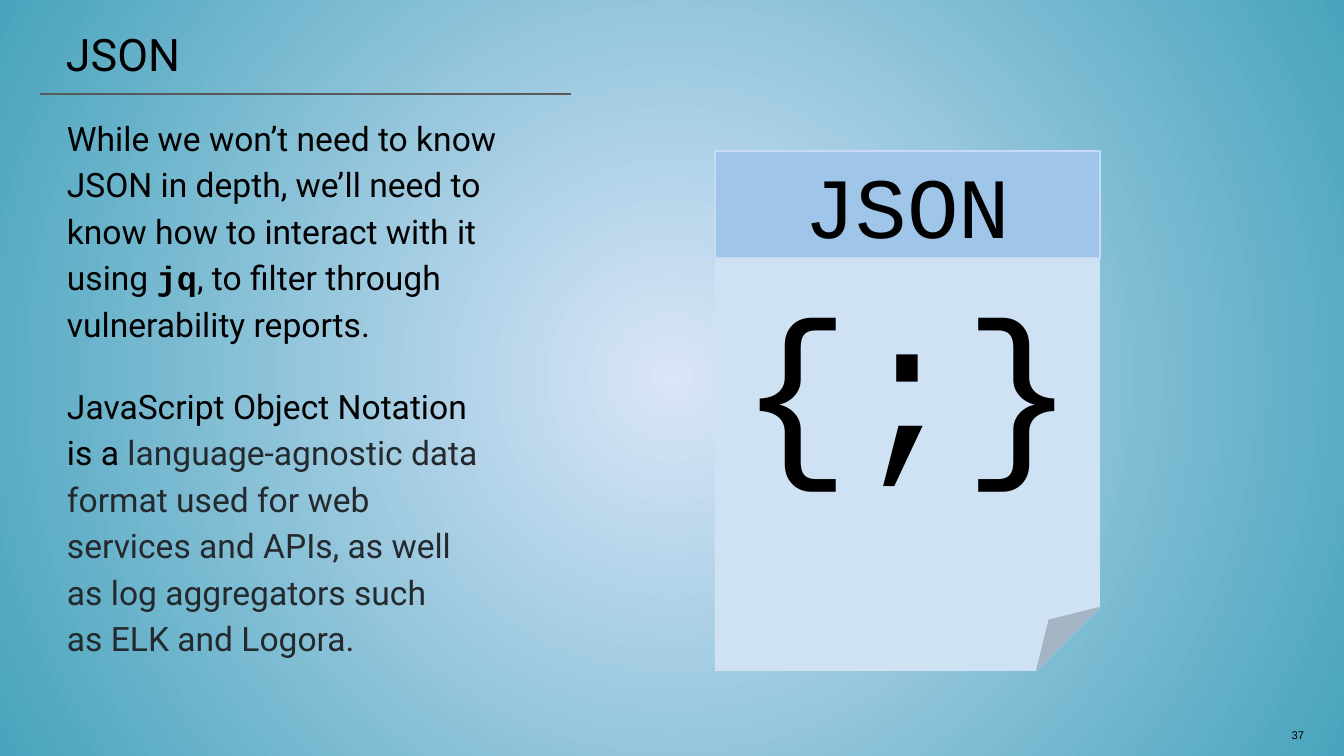
from lxml.etree import SubElement
from pptx import Presentation
from pptx.dml.color import RGBColor
from pptx.enum.shapes import MSO_CONNECTOR as LINE, MSO_SHAPE as SHAPE
from pptx.enum.text import MSO_ANCHOR as ANCHOR, PP_ALIGN as ALIGN
from pptx.oxml.ns import qn
from pptx.util import Pt

PX = 914400 / 134.4


def box(*lengths):
    return [round(n * PX) for n in lengths]


def color(hex_code):
    return RGBColor.from_string(hex_code)


deck = Presentation()
deck.slide_width, deck.slide_height = box(1344, 756)
slide = deck.slides.add_slide(deck.slide_layouts[6])
shapes = slide.shapes

backdrop = shapes.add_shape(SHAPE.RECTANGLE, *box(-1, 0, 1347, 756))
backdrop.shadow.inherit = False
backdrop.line.fill.background()
backdrop.fill.gradient()
for stop, shade in zip(backdrop.fill.gradient_stops, ["DAE5F9", "47A4BC"]):
    stop.color.rgb = color(shade)
gradient = backdrop._element.spPr.find(qn("a:gradFill"))
gradient.remove(gradient.find(qn("a:lin")))
glow = SubElement(gradient, qn("a:path"), path="circle")
SubElement(glow, qn("a:fillToRect"), l="50000", t="50000", r="50000", b="50000")

title = [[("JSON", {})]]
intro = [[
    ("While we won’t need to know JSON in depth, we’ll need to know how to interact with it using ", {}),
    ("jq", {"name": "Courier New", "bold": True}),
    (", to filter through vulnerability reports.", {}),
]]
definition = [
    [("JavaScript Object Notation is a ", {}),
     ("language-agnostic data format used for web services and APIs, as well", {"hue": "24292E"})],
    [("as log aggregators such", {"hue": "24292E"})],
    [("as ELK and Logora.", {"hue": "24292E"})],
]
page_number = [[("37", {})]]

texts = [
    (title, (-1, 0, 1347, 78), (67, 27, 40, 13), "Roboto", 24, 1.0, ALIGN.LEFT),
    (intro, (0, 99, 605, 188), (67, 13, 67, 0), "Roboto", 18, 1.15, ALIGN.LEFT),
    (definition, (0, 380, 566, 290), (67, 0, 67, 0), "Roboto", 18, 1.15, ALIGN.LEFT),
    (page_number, (1265, 728, 39, 16), (0, 0, 0, 0), "Arial", 6, 1.0, ALIGN.RIGHT),
]
for lines, place, insets, font_name, size, spacing, align in texts:
    frame = shapes.add_textbox(*box(*place)).text_frame
    frame.word_wrap = True
    frame.margin_left, frame.margin_top, frame.margin_right, frame.margin_bottom = box(*insets)
    paragraph = frame.paragraphs[0]
    paragraph.alignment = align
    paragraph.line_spacing = spacing
    paragraph.font.size = Pt(size)
    paragraph.font.name = font_name
    for number, line in enumerate(lines):
        if number:
            paragraph.add_line_break()
        for words, style in line:
            run = paragraph.add_run()
            run.text = words
            run.font.size = Pt(size)
            run.font.name = style.get("name", font_name)
            run.font.bold = style.get("bold")
            run.font.color.rgb = color(style.get("hue", "000000"))

title_rule = shapes.add_connector(LINE.STRAIGHT, *box(40, 94, 571, 94))
title_rule.line.color.rgb = color("595959")
title_rule.line.width = Pt(0.75)
SubElement(title_rule._element.spPr, qn("a:effectLst"))

file_parts = [
    (SHAPE.FOLDED_CORNER, 520, "CFE2F3", None, "{;}", 100),
    (SHAPE.RECTANGLE, 107, "9FC5E8", "C9DAF8", "JSON", 46),
]
for kind, height, fill, outline, label, size in file_parts:
    part = shapes.add_shape(kind, *box(715, 151, 385, height))
    part.shadow.inherit = False
    part.fill.solid()
    part.fill.fore_color.rgb = color(fill)
    if outline:
        part.line.color.rgb = color(outline)
        part.line.width = Pt(0.75)
    else:
        part.line.fill.background()
    frame = part.text_frame
    frame.vertical_anchor = ANCHOR.MIDDLE
    frame.margin_left, frame.margin_top, frame.margin_right, frame.margin_bottom = box(13, 13, 13, 13)
    paragraph = frame.paragraphs[0]
    paragraph.text = label
    paragraph.alignment = ALIGN.CENTER
    paragraph.font.size = Pt(size)
    paragraph.font.name = "Courier New"
    paragraph.font.color.rgb = color("000000")

deck.save("out.pptx")
